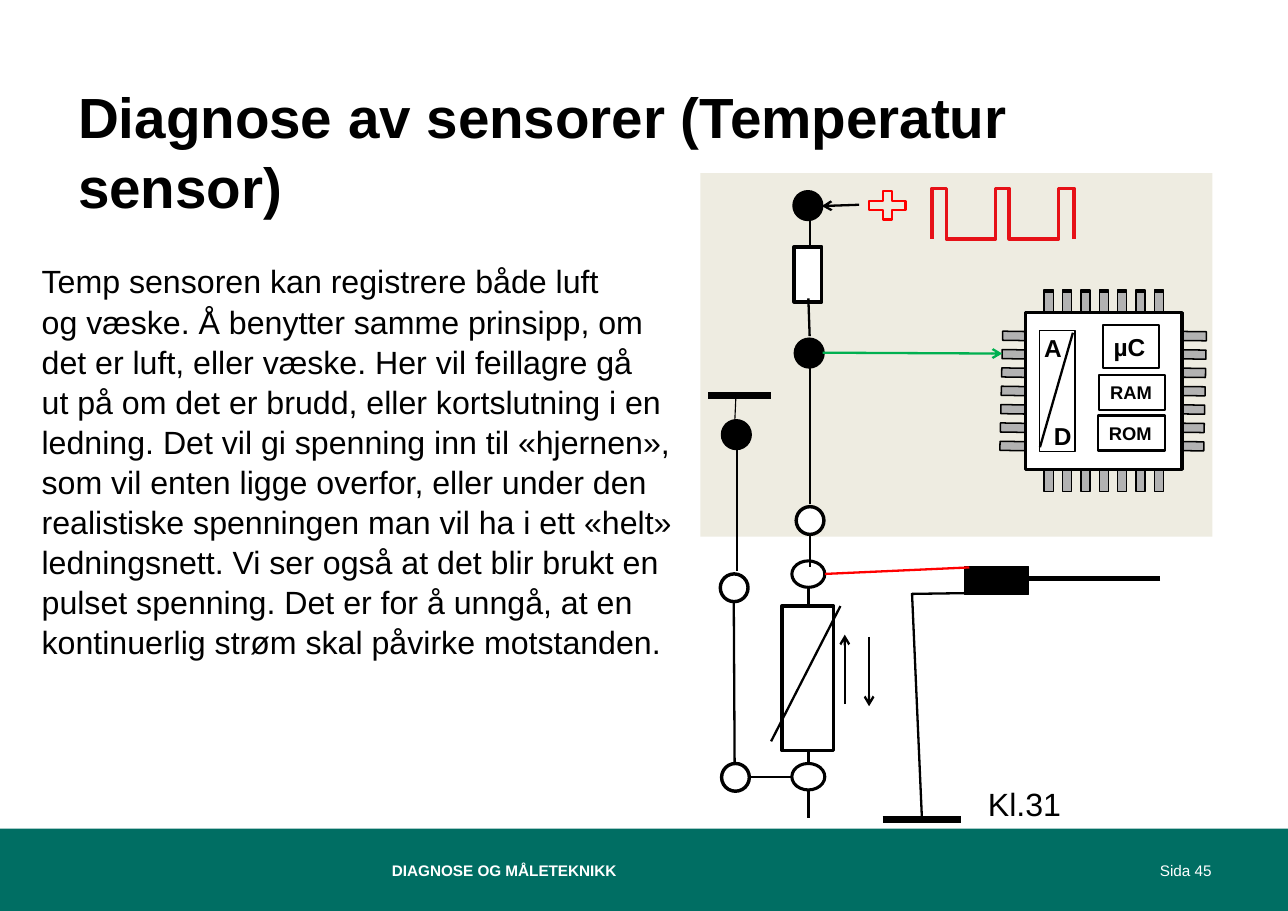
from lxml.etree import SubElement
from pptx import Presentation
from pptx.dml.color import RGBColor
from pptx.enum.shapes import MSO_CONNECTOR, MSO_SHAPE
from pptx.enum.text import MSO_ANCHOR, MSO_AUTO_SIZE, PP_ALIGN
from pptx.oxml.ns import qn
from pptx.util import Cm, Pt

COLORS = {
    "black": "000000", "white": "FFFFFF", "band": "006E63", "panel": "EEECE1",
    "pin": "B2B2B2", "red": "FF0000", "pulse": "E61117", "signal": "00B050",
}
EXPLANATION = [
    "Temp sensoren kan registrere både luft",
    "og væske. Å benytter samme prinsipp, om",
    "det er luft, eller væske. Her vil feillagre gå",
    "ut på om det er brudd, eller kortslutning i en",
    "ledning. Det vil gi spenning inn til «hjernen»,",
    "som vil enten ligge overfor, eller under den",
    "realistiske spenningen man vil ha i ett «helt»",
    "ledningsnett. Vi ser også at det blir brukt en",
    "pulset spenning. Det er for å unngå, at en",
    "kontinuerlig strøm skal påvirke motstanden.",
]
PIN_COUNT, PIN_PITCH, PIN_WIDTH, PIN_LENGTH = 7, 0.423, 0.21, 1.07


def rgb(name):
    return RGBColor.from_string(COLORS[name])


def cm_box(box):
    return [Cm(value) for value in box]


def write(frame, text, size, color="black", bold=False, align=PP_ALIGN.LEFT,
          anchor=MSO_ANCHOR.TOP, insets=(0.25, 0.13)):
    frame.text = text
    frame.word_wrap = True
    frame.auto_size = MSO_AUTO_SIZE.NONE
    frame.vertical_anchor = anchor
    frame.margin_left = frame.margin_right = Cm(insets[0])
    frame.margin_top = frame.margin_bottom = Cm(insets[1])
    for paragraph in frame.paragraphs:
        paragraph.alignment = align
        paragraph.line_spacing = 1.04
        paragraph.space_before = Pt(0)
        for run in paragraph.runs:
            run.font.name = "Arial"
            run.font.size = Pt(size)
            run.font.bold = bold
            run.font.color.rgb = rgb(color)


def add_label(slide, box, text, size, **style):
    label = slide.shapes.add_textbox(*cm_box(box))
    write(label.text_frame, text, size, **style)


def fill_placeholder(placeholder, box, text, size, **style):
    placeholder.left, placeholder.top, placeholder.width, placeholder.height = cm_box(box)
    write(placeholder.text_frame, text, size, **style)


def paint(shape, fill, line, width):
    shape.shadow.inherit = False
    if fill:
        shape.fill.solid()
        shape.fill.fore_color.rgb = rgb(fill)
    else:
        shape.fill.background()
    if line:
        shape.line.color.rgb = rgb(line)
        shape.line.width = Pt(width)
    else:
        shape.line.fill.background()


def add_part(slide, box, fill="white", line="black", width=2.25, kind=MSO_SHAPE.RECTANGLE):
    part = slide.shapes.add_shape(kind, *cm_box(box))
    paint(part, fill, line, width)
    return part


def add_wire(slide, ends, color="black", width=1.5, arrow=False):
    wire = slide.shapes.add_connector(MSO_CONNECTOR.STRAIGHT, *cm_box(ends))
    wire.line.color.rgb = rgb(color)
    wire.line.width = Pt(width)
    if arrow:
        SubElement(wire.line._get_or_add_ln(), qn("a:tailEnd"), type="arrow")
    SubElement(wire._element.spPr, qn("a:effectLst"))


def add_text(slide):
    title, body = slide.placeholders
    fill_placeholder(title, (1.52, 1.68, 26.7, 2.87),
                     "Diagnose av sensorer (Temperatur sensor)", 37,
                     bold=True, insets=(0.28, 0.14))
    fill_placeholder(body, (0.71, 5.87, 15.44, 9.25), "\n".join(EXPLANATION), 21)
    for paragraph in body.text_frame.paragraphs:
        properties = paragraph._p.get_or_add_pPr()
        properties.set("marL", "0")
        properties.set("indent", "0")
        SubElement(properties, qn("a:buNone"))


def add_footer(slide):
    add_part(slide, (0, 19.1, 29.7, 1.9), "band", None)
    style = dict(color="white", anchor=MSO_ANCHOR.MIDDLE, insets=(0.28, 0.14))
    add_label(slide, (23.75, 19.1, 4.47, 1.9), "Sida 45", 10, align=PP_ALIGN.RIGHT, **style)
    add_label(slide, (8.76, 19.1, 16.84, 1.9), "DIAGNOSE OG MÅLETEKNIKK", 10, bold=True, **style)


def add_pins(slide):
    for index in range(PIN_COUNT):
        offset = index * PIN_PITCH
        for top in (6.68, 10.26, 6.73):
            add_part(slide, (24.08 + offset, top, PIN_WIDTH, PIN_LENGTH), "pin", width=1)
        for left, angle in ((27.18, 270.7), (23.55, 270.9)):
            pin = add_part(slide, (left - 0.01 * index, 7.21 + offset, PIN_WIDTH, PIN_LENGTH),
                           "pin", width=1)
            pin.rotation = angle


def add_microcontroller(slide):
    add_pins(slide)
    add_part(slide, (23.65, 7.21, 3.61, 3.61))
    add_part(slide, (23.98, 7.62, 0.81, 2.79), width=0.75)
    add_label(slide, (23.83, 7.52, 1.02, 0.94), "A", 16, bold=True)
    add_label(slide, (24.05, 9.55, 0.76, 0.94), "D", 16, bold=True)
    add_wire(slide, (24.74, 7.67, 23.98, 10.31))
    for text, size, box in (
        ("µC", 16, (25.43, 7.49, 1.3, 0.99)),
        ("RAM", 12, (25.35, 8.64, 1.52, 0.81)),
        ("ROM", 12, (25.32, 9.58, 1.55, 0.81)),
    ):
        block = add_part(slide, box, width=1.5)
        write(block.text_frame, text, size, bold=True)


def add_components(slide):
    for left, top, fill in (
        (18.31, 4.42, "black"), (18.34, 7.82, "black"), (18.36, 11.68, "white"),
        (16.66, 9.7, "black"), (16.61, 13.23, "white"), (16.64, 17.6, "white"),
    ):
        add_part(slide, (left, top, 0.64, 0.64), fill, kind=MSO_SHAPE.OVAL)
    for top in (12.93, 17.6):
        add_part(slide, (18.26, top, 0.76, 0.61), width=2, kind=MSO_SHAPE.OVAL)
    add_part(slide, (18.31, 5.69, 0.64, 1.27))
    add_part(slide, (18.03, 13.97, 1.19, 3.33))
    add_wire(slide, (26.75, 13.34, 23.67, 13.34), width=3)
    add_part(slide, (22.25, 13.06, 1.47, 0.64), "black", width=0.75)
    add_label(slide, (22.53, 17.91, 2.4, 1.14), "Kl.31", 21)


def add_wiring(slide):
    for ends in (
        (18.67, 4.98, 18.67, 5.72), (18.67, 7.75, 18.64, 6.88),
        (18.67, 8.41, 18.67, 11.61), (18.67, 12.34, 18.67, 13.08),
        (18.64, 13.51, 18.64, 13.97), (18.64, 17.32, 18.64, 17.6),
        (18.64, 18.19, 18.64, 18.85), (16.92, 13.87, 16.94, 17.63),
        (16.99, 10.34, 16.99, 13.16), (17.27, 17.91, 18.26, 17.91),
        (22.43, 13.67, 21.03, 13.69), (21.03, 13.67, 21.26, 18.9),
        (19.38, 13.97, 17.78, 17.09),
    ):
        add_wire(slide, ends)
    for ground in ((20.35, 18.9, 22.15, 18.9), (16.33, 9.12, 17.78, 9.12)):
        add_wire(slide, ground, width=4.5)
    for arrow in ((19.81, 4.72, 18.95, 4.75), (20.04, 14.68, 20.04, 16.28),
                  (19.48, 16.23, 19.48, 14.63)):
        add_wire(slide, arrow, arrow=True)
    add_wire(slide, (16.97, 9.12, 16.92, 10.24), width=0.75, arrow=True)
    add_wire(slide, (18.97, 8.13, 23.11, 8.15), "signal", arrow=True)
    add_wire(slide, (22.35, 13.08, 19.02, 13.23), "red")


def add_pulsed_supply(slide):
    add_part(slide, (19.89, 4.29, 1.14, 0.89), None, "red", 1.5, MSO_SHAPE.MATH_PLUS)
    low, high = 5.51, 4.34
    points = []
    for rise, fall in ((21.49, 21.82), (22.96, 23.27), (24.41, 24.77)):
        points += [(rise, low), (rise, high), (fall, high), (fall, low)]
    start, *rest = [cm_box(point) for point in points]
    builder = slide.shapes.build_freeform(*start)
    builder.add_line_segments(rest, close=False)
    paint(builder.convert_to_shape(), None, "pulse", 2.25)


def main():
    presentation = Presentation()
    presentation.slide_width, presentation.slide_height = Cm(29.7), Cm(21)
    slide = presentation.slides.add_slide(presentation.slide_layouts[1])
    add_footer(slide)
    add_text(slide)
    add_part(slide, (16.15, 3.99, 11.81, 8.38), "panel", None)
    add_microcontroller(slide)
    add_components(slide)
    add_wiring(slide)
    add_pulsed_supply(slide)
    presentation.save("out.pptx")


if __name__ == "__main__":
    main()
